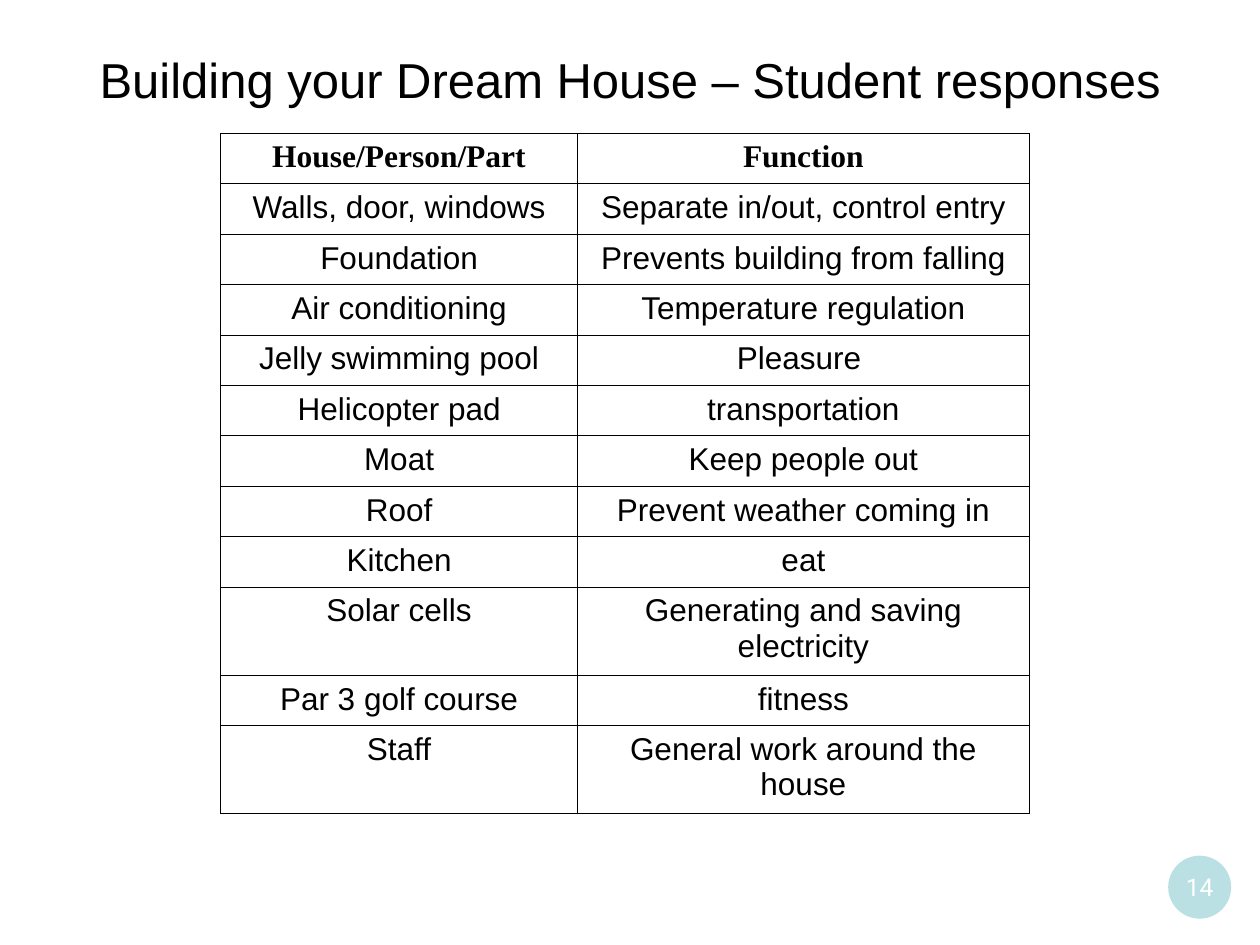
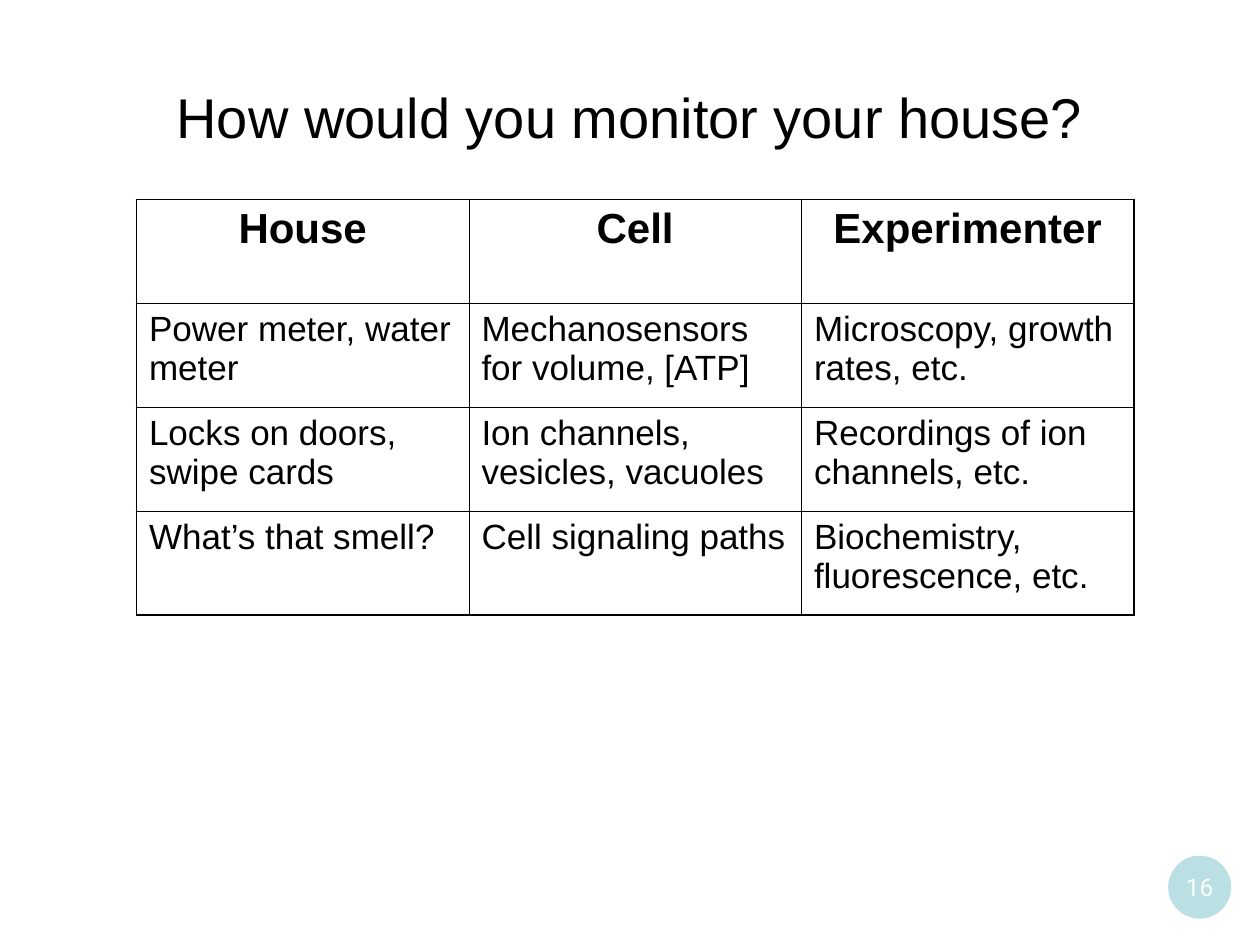
from dataclasses import dataclass
from typing import NamedTuple

from lxml import etree
from pptx import Presentation
from pptx.dml.color import RGBColor
from pptx.enum.shapes import MSO_SHAPE
from pptx.enum.text import MSO_ANCHOR, MSO_AUTO_SIZE, PP_ALIGN
from pptx.oxml.ns import qn
from pptx.util import Cm, Pt

LEFT, CENTER = PP_ALIGN.LEFT, PP_ALIGN.CENTER
TOP, MIDDLE = MSO_ANCHOR.TOP, MSO_ANCHOR.MIDDLE
NO_AUTOFIT = MSO_AUTO_SIZE.NONE
OVAL = MSO_SHAPE.OVAL
TITLE_ONLY = 5


@dataclass(frozen=True)
class Theme:
    ink: str = "000000"
    paper: str = "FFFFFF"
    badge: str = "BBE0E3"
    body_font: str = "Arial"
    serif_font: str = "Times New Roman"
    badge_font: str = "Roboto"
    badge_size: int = 14
    response_size: int = 18
    monitor_size: int = 20
    monitor_head_size: int = 24
    long_title_size: int = 28
    title_size: int = 32
    hairline: float = 0.45
    frame: float = 1.08


THEME = Theme()


class Box(NamedTuple):
    left: float
    top: float
    width: float
    height: float

    def emu(self):
        return [Cm(length) for length in self]


PAGE = Box(0, 0, 25.4, 19.05)

RESPONSES = [
    ("House/Person/Part", "Function"),
    ("Walls, door, windows", "Separate in/out, control entry"),
    ("Foundation", "Prevents building from falling"),
    ("Air conditioning", "Temperature regulation"),
    ("Jelly swimming pool", "Pleasure "),
    ("Helicopter pad", "transportation"),
    ("Moat", "Keep people out"),
    ("Roof", "Prevent weather coming in"),
    ("Kitchen", "eat"),
    ("Solar cells", "Generating and saving electricity"),
    ("Par 3 golf course", "fitness"),
    ("Staff", "General work around the house"),
]
TWO_LINE_PARTS = {"Solar cells", "Staff"}

MONITORING = [
    ("House", "Cell", "Experimenter"),
    ("Power meter, water meter", "Mechanosensors for volume, [ATP]",
     "Microscopy, growth rates, etc."),
    ("Locks on doors, swipe cards", "Ion channels, vesicles, vacuoles",
     "Recordings of ion channels, etc."),
    ("What’s that smell?", "Cell signaling paths",
     "Biochemistry, fluorescence, etc."),
]


def write(frame, text, *, size, font=THEME.body_font, color=THEME.ink,
          bold=False, align=CENTER, before=0):
    """Put one formatted paragraph into a text frame."""
    paragraph = frame.paragraphs[0]
    paragraph.alignment = align
    paragraph.space_before = Pt(before)
    run = paragraph.add_run()
    run.text = text
    run.font.size = Pt(size)
    run.font.name = font
    run.font.bold = bold
    run.font.color.rgb = RGBColor.from_string(color)


def set_borders(cell, widths):
    """Draw the cell's edges; widths maps L, R, T, B to points."""
    properties = cell._tc.get_or_add_tcPr()
    for side, width in widths.items():
        edge = etree.SubElement(properties, qn(f"a:ln{side}"), w=str(Pt(width)))
        fill = etree.SubElement(edge, qn("a:solidFill"))
        etree.SubElement(fill, qn("a:srgbClr"), val=THEME.ink)


def add_title(slide, box, text, size):
    title = slide.shapes.title
    title.left, title.top, title.width, title.height = box.emu()
    title.text_frame.auto_size = NO_AUTOFIT
    title.text_frame.vertical_anchor = MIDDLE
    write(title.text_frame, text, size=size)


def add_grid(slide, box, rows, column_widths, row_heights, outer,
             head_format, body_format):
    """Add a ruled table whose first row is the heading."""
    table = slide.shapes.add_table(len(rows), len(rows[0]), *box.emu()).table
    table.first_row = table.horz_banding = False
    for column, width in zip(table.columns, column_widths):
        column.width = Cm(width)
    for row, height in zip(table.rows, row_heights):
        row.height = Cm(height)

    last_row, last_column = len(rows) - 1, len(rows[0]) - 1
    for r, texts in enumerate(rows):
        for c, text in enumerate(texts):
            cell = table.cell(r, c)
            on_edge = {"L": c == 0, "R": c == last_column,
                       "T": r == 0, "B": r == last_row}
            set_borders(cell, {side: outer if edge else THEME.hairline
                               for side, edge in on_edge.items()})
            cell.fill.background()
            cell.vertical_anchor = TOP
            write(cell.text_frame, text, **(body_format if r else head_format))


def add_page_badge(slide, box, number):
    badge = slide.shapes.add_shape(OVAL, *box.emu())
    badge.shadow.inherit = False
    badge.fill.solid()
    badge.fill.fore_color.rgb = RGBColor.from_string(THEME.badge)
    badge.line.fill.background()
    frame = badge.text_frame
    frame.margin_left = frame.margin_right = 0
    frame.margin_top = frame.margin_bottom = 0
    frame.word_wrap = False
    frame.vertical_anchor = MIDDLE
    write(frame, str(number), size=THEME.badge_size, font=THEME.badge_font,
          color=THEME.paper)


def add_page(deck, number):
    """Start a slide with the shared background and page badge."""
    slide = deck.slides.add_slide(deck.slide_layouts[TITLE_ONLY])
    slide.background.fill.solid()
    slide.background.fill.fore_color.rgb = RGBColor.from_string(THEME.paper)
    add_page_badge(slide, Box(PAGE.width - 1.85, PAGE.height - 1.8, 1.27, 1.27),
                   number)
    return slide


def responses_slide(deck):
    slide = add_page(deck, 14)
    add_title(slide, Box(1.27, 0.43, 22.86, 2.34),
              "Building your Dream House – Student responses",
              THEME.long_title_size)
    # Rows share the height, with more where the function takes two lines
    widths = [7.19, 9.11]
    box = Box(4.45, 2.69, sum(widths), 13.72)
    shares = [1.75 if part in TWO_LINE_PARTS else 1 for part, _ in RESPONSES]
    heights = [box.height * share / sum(shares) for share in shares]
    add_grid(slide, box, RESPONSES, widths, heights, THEME.hairline,
             dict(size=THEME.response_size, font=THEME.serif_font, bold=True),
             dict(size=THEME.response_size))


def monitoring_slide(deck):
    slide = add_page(deck, 16)
    add_title(slide, Box(1.27, 0.76, 22.86, 3.18),
              "How would you monitor your house?", THEME.title_size)
    # Equal columns and rows
    box = Box(2.75, 4.02, 20.11, 8.38)
    columns, rows = len(MONITORING[0]), len(MONITORING)
    add_grid(slide, box, MONITORING, [box.width / columns] * columns,
             [box.height / rows] * rows, THEME.frame,
             dict(size=THEME.monitor_head_size, bold=True, before=6),
             dict(size=THEME.monitor_size, align=LEFT, before=5))


def main():
    deck = Presentation()
    deck.slide_width, deck.slide_height = Cm(PAGE.width), Cm(PAGE.height)
    responses_slide(deck)
    monitoring_slide(deck)
    deck.save("out.pptx")


if __name__ == "__main__":
    main()
